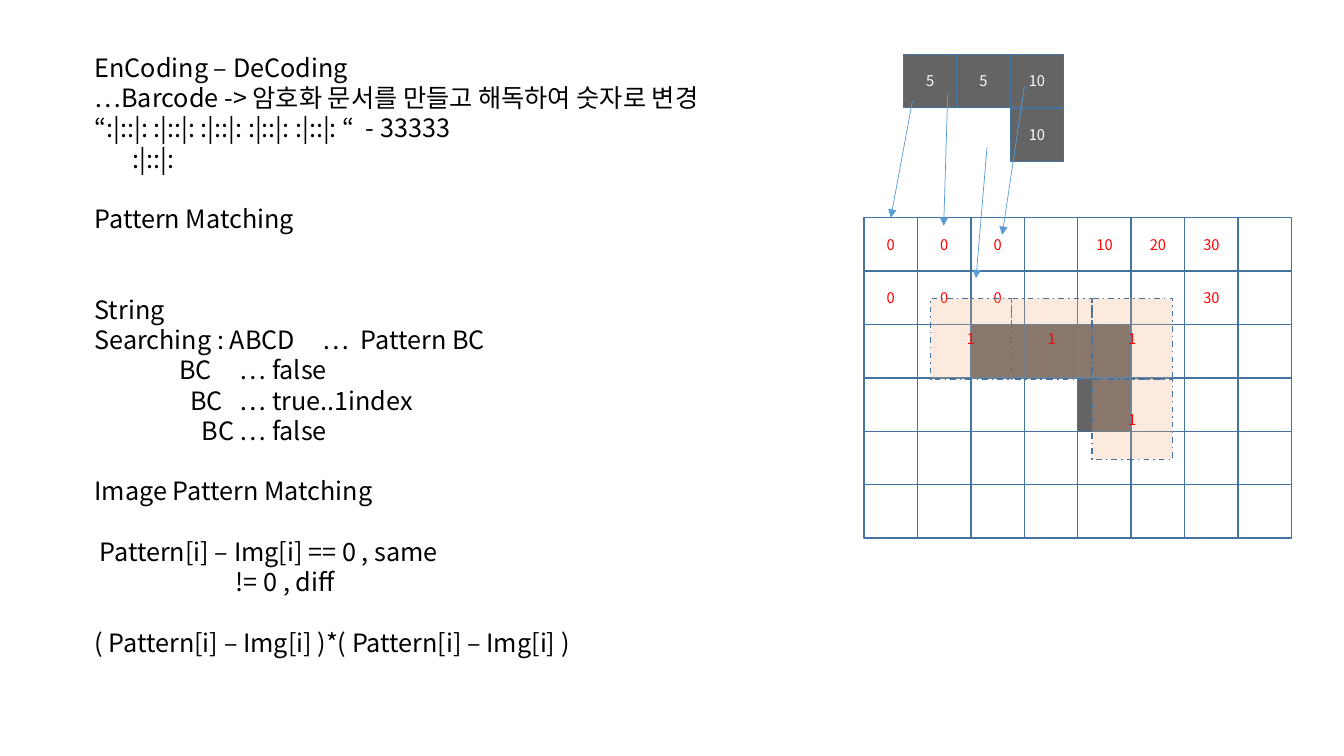
from dataclasses import dataclass

from lxml.etree import SubElement
from pptx import Presentation
from pptx.dml.color import RGBColor
from pptx.enum.dml import MSO_LINE
from pptx.enum.shapes import MSO_CONNECTOR, MSO_SHAPE
from pptx.enum.text import MSO_ANCHOR, PP_ALIGN
from pptx.oxml.ns import qn
from pptx.util import Emu, Pt


@dataclass(frozen=True)
class Theme:
    font: str = "Noto Sans CJK KR"
    text: RGBColor = RGBColor(0, 0, 0)
    white: RGBColor = RGBColor(255, 255, 255)
    red: RGBColor = RGBColor(255, 0, 0)
    dark: RGBColor = RGBColor(0x64, 0x64, 0x64)
    peach: RGBColor = RGBColor(0xF4, 0xB1, 0x83)
    border: RGBColor = RGBColor(0x43, 0x73, 0x9E)
    arrow: RGBColor = RGBColor(0x5B, 0x9B, 0xD5)
    outline_size: float = 18
    outline_pitch: float = 21.6
    cell_size: float = 10.5


THEME = Theme()
EMU_PER_PX = 9144
CELL = 53
WINDOW_CELL = 80
IMAGE_LEFT, IMAGE_TOP = 857, 216
IMAGE_COLUMNS, IMAGE_ROWS = 8, 6

# Text, number of empty lines above it, tab stops in px
OUTLINE = [
    ("EnCoding – DeCoding", 0, ()),
    ("…Barcode -> 암호화 문서를 만들고 해독하여 숫자로 변경", 0, ()),
    ("“:|::|: :|::|: :|::|: :|::|: :|::|: “\t- 33333", 0, (269,)),
    ("\t:|::|:", 0, (38,)),
    ("Pattern Matching", 1, ()),
    ("String", 2, ()),
    ("Searching : ABCD\t…\tPattern BC", 0, (226, 264)),
    ("\tBC\t… false", 0, (84, 144)),
    ("\tBC\t… true..1index", 0, (95, 144)),
    ("\tBC\t… false", 0, (106, 144)),
    ("Image Pattern Matching", 1, ()),
    ("\tPattern[i] – Img[i] == 0 , same", 1, (5,)),
    ("\t!= 0 , diff", 0, (140,)),
    ("( Pattern[i] – Img[i] )*( Pattern[i] – Img[i] )", 1, ()),
]

# Cells are keyed by (column, row)
IMAGE_VALUES = {
    (0, 0): "0", (1, 0): "0", (2, 0): "0", (4, 0): "10", (5, 0): "20", (6, 0): "30",
    (0, 1): "0", (1, 1): "0", (2, 1): "0", (6, 1): "30",
}
IMAGE_DARK = {(2, 2), (3, 2), (4, 2), (4, 3)}
PATTERN_VALUES = {(0, 0): "5", (1, 0): "5", (2, 0): "10", (2, 1): "10"}

FREE_ARROWS = [
    ((940, 92), (936, 224)),
    ((1016, 86), (994, 233)),
    ((979, 146), (968, 276)),
]


def px(value):
    return Emu(value * EMU_PER_PX)


def style_runs(paragraph, size, color):
    for run in paragraph.runs:
        run.font.name = THEME.font
        run.font.size = Pt(size)
        run.font.color.rgb = color
        SubElement(run.font._element, qn("a:ea"), typeface=THEME.font)


def add_tab_stops(paragraph, stops):
    tab_list = SubElement(paragraph._p.get_or_add_pPr(), qn("a:tabLst"))
    for stop in stops:
        SubElement(tab_list, qn("a:tab"), pos=str(px(stop)), algn="l")


def add_outline(slide):
    text_frame = slide.shapes.add_textbox(px(84), px(47), px(676), px(616)).text_frame
    text_frame.word_wrap = True
    for index, (text, empty_lines, stops) in enumerate(OUTLINE):
        paragraph = text_frame.paragraphs[0] if index == 0 else text_frame.add_paragraph()
        paragraph.text = text
        paragraph.line_spacing = Pt(THEME.outline_pitch)
        paragraph.space_before = Pt(empty_lines * THEME.outline_pitch)
        if stops:
            add_tab_stops(paragraph, stops)
        style_runs(paragraph, THEME.outline_size, THEME.text)


def add_cell(shapes, origin, position, side, fill, text, color):
    """Add the square at a (column, row) position of the grid that starts at origin."""
    left, top = (start + step * side for start, step in zip(origin, position))
    cell = shapes.add_shape(MSO_SHAPE.RECTANGLE, px(left), px(top), px(side), px(side))
    cell.shadow.inherit = False
    cell.fill.solid()
    cell.fill.fore_color.rgb = fill
    cell.line.color.rgb = THEME.border
    cell.line.width = Pt(1)
    if text:
        cell.text_frame.text = text
        cell.text_frame.vertical_anchor = MSO_ANCHOR.MIDDLE
        paragraph = cell.text_frame.paragraphs[0]
        paragraph.alignment = PP_ALIGN.CENTER
        style_runs(paragraph, THEME.cell_size, color)
    return cell


def add_image_grid(slide):
    """Draw the searched image and return its cells by position."""
    cells = {}
    for row in range(IMAGE_ROWS):
        for column in range(IMAGE_COLUMNS):
            position = (column, row)
            fill = THEME.dark if position in IMAGE_DARK else THEME.white
            cells[position] = add_cell(slide.shapes, (IMAGE_LEFT, IMAGE_TOP), position, CELL,
                                       fill, IMAGE_VALUES.get(position), THEME.red)
    return cells


def add_search_window(slide):
    group = slide.shapes.add_group_shape()
    for position in PATTERN_VALUES:
        cell = add_cell(group.shapes, (923, 296), position, WINDOW_CELL,
                        THEME.peach, "1", THEME.red)
        cell.line.dash_style = MSO_LINE.DASH_DOT
        color = cell._element.spPr.find(qn("a:solidFill")).find(qn("a:srgbClr"))
        SubElement(color, qn("a:alpha"), val="26000")


def add_pattern(slide):
    for position, value in PATTERN_VALUES.items():
        add_cell(slide.shapes, (896, 54), position, CELL, THEME.dark, value, THEME.white)


def add_arrow(slide, start, end):
    arrow = slide.shapes.add_connector(MSO_CONNECTOR.STRAIGHT, *map(px, start + end))
    arrow.line.color.rgb = THEME.arrow
    arrow.line.width = Pt(0.5)
    SubElement(arrow.line._get_or_add_ln(), qn("a:tailEnd"), type="triangle")
    SubElement(arrow._element.spPr, qn("a:effectLst"))
    return arrow


def main():
    presentation = Presentation()
    presentation.slide_width = px(1333)
    presentation.slide_height = px(750)
    slide = presentation.slides.add_slide(presentation.slide_layouts[6])
    add_outline(slide)
    image_cells = add_image_grid(slide)
    add_search_window(slide)
    add_pattern(slide)
    first_arrow = add_arrow(slide, (905, 100), (883, IMAGE_TOP))
    first_arrow.end_connect(image_cells[0, 0], 0)
    for start, end in FREE_ARROWS:
        add_arrow(slide, start, end)
    presentation.save("out.pptx")


if __name__ == "__main__":
    main()
